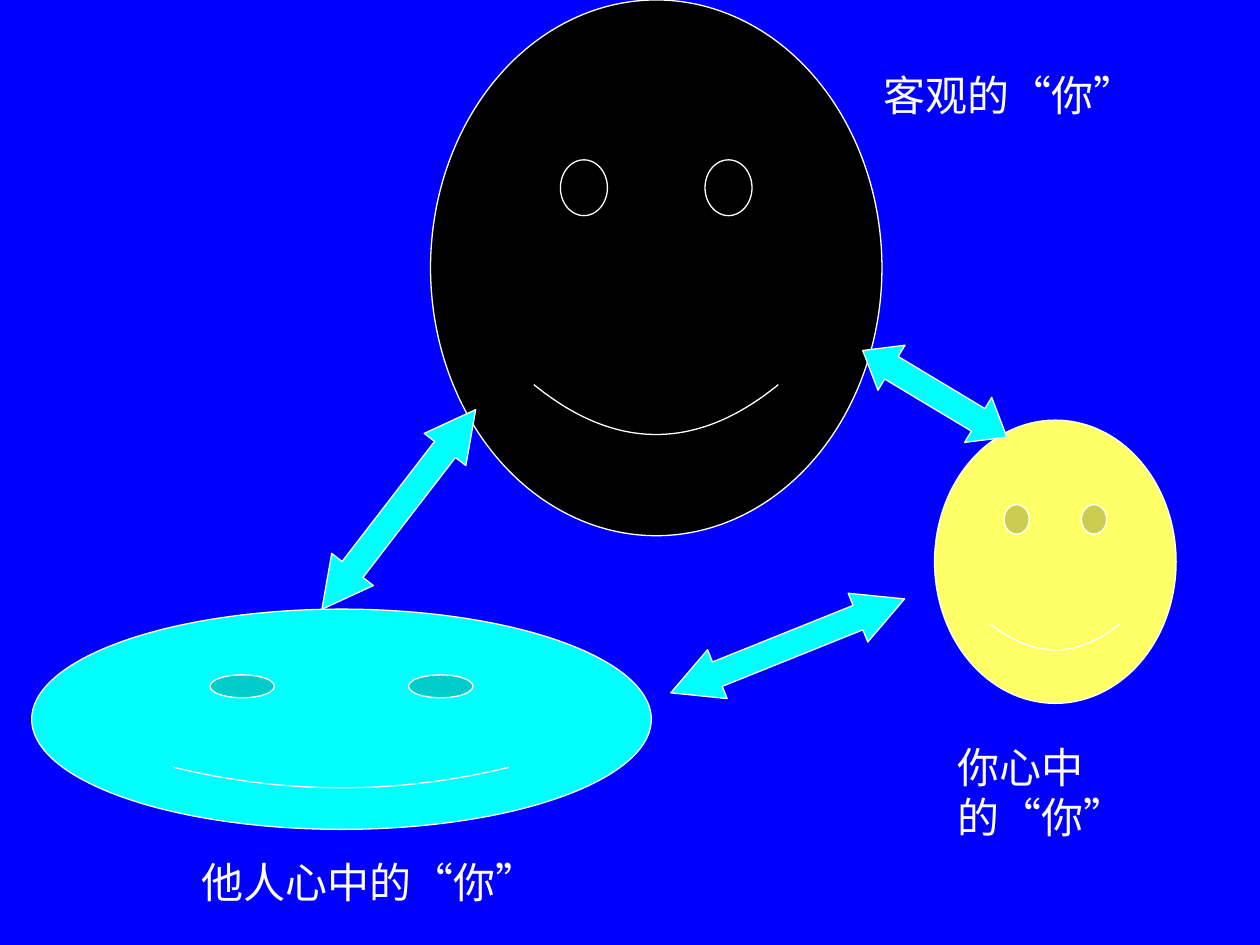
from pptx import Presentation
from pptx.dml.color import RGBColor
from pptx.enum.shapes import MSO_SHAPE
from pptx.enum.text import MSO_AUTO_SIZE, PP_ALIGN
from pptx.util import Cm, Pt

FACE = MSO_SHAPE.SMILEY_FACE
ARROW = MSO_SHAPE.LEFT_RIGHT_ARROW
GROW = MSO_AUTO_SIZE.SHAPE_TO_FIT_TEXT
LEFT = PP_ALIGN.LEFT
BLANK_LAYOUT = 6
BLUE, BLACK, CYAN, YELLOW, WHITE = "0000FF", "000000", "00FFFF", "FFFF66", "FFFFFF"


def paint(color_format, color):
    """Give a fill's or font's colour format a hex colour."""
    color_format.rgb = RGBColor.from_string(color)


def add_outlined(slide, preset, box, color, adjustments, rotation=0):
    """Add a filled preset shape with a thin white outline."""
    outlined = slide.shapes.add_shape(preset, *(Cm(length) for length in box))
    outlined.shadow.inherit = False
    outlined.fill.solid()
    paint(outlined.fill.fore_color, color)
    outlined.line.width = Pt(0.75)
    paint(outlined.line.color, WHITE)
    outlined.rotation = rotation
    for index, value in enumerate(adjustments):
        outlined.adjustments[index] = value


def add_face(slide, box, color):
    """Add one smiling view of the person."""
    add_outlined(slide, FACE, box, color, [0.093])


def add_link(slide, left, top, width, head, rotation):
    """Add a two-way arrow between two views."""
    add_outlined(slide, ARROW, (left, top, width, 1.06), CYAN, [0.5, head], rotation)


def add_label(slide, text, box, size=24, color=WHITE, font="Times New Roman"):
    """Add a wrapped caption."""
    label = slide.shapes.add_textbox(*(Cm(length) for length in box))
    frame = label.text_frame
    frame.word_wrap = True
    frame.auto_size = GROW
    caption = frame.paragraphs[0]
    caption.alignment = LEFT
    run = caption.add_run()
    run.text = text
    run.font.size = Pt(size)
    run.font.name = font
    paint(run.font.color, color)


def main():
    """Build the slide of three views of one person."""
    deck = Presentation()
    deck.slide_width, deck.slide_height = Cm(25.4), Cm(19.05)
    slide = deck.slides.add_slide(deck.slide_layouts[BLANK_LAYOUT])
    slide.background.fill.solid()
    paint(slide.background.fill.fore_color, BLUE)

    add_face(slide, (8.68, 0, 9.1, 10.8), BLACK)
    add_face(slide, (0.64, 12.28, 12.49, 4.44), CYAN)
    add_face(slide, (18.84, 8.47, 4.87, 5.71), YELLOW)

    add_label(slide, "他人心中的“你”", (3.81, 17.15, 7.41, 1.27))
    add_label(slide, "客观的“你”", (17.57, 1.27, 5.93, 1.27))
    add_label(slide, "你心中的“你”", (19.05, 14.82, 6.35, 2.29))

    add_link(slide, 5.5, 9.74, 5.08, 0.955, 307.6)
    add_link(slide, 17.15, 7.41, 3.39, 0.637, 31)
    add_link(slide, 13.34, 12.49, 5.08, 0.955, 338.1)

    deck.save("out.pptx")


if __name__ == "__main__":
    main()
